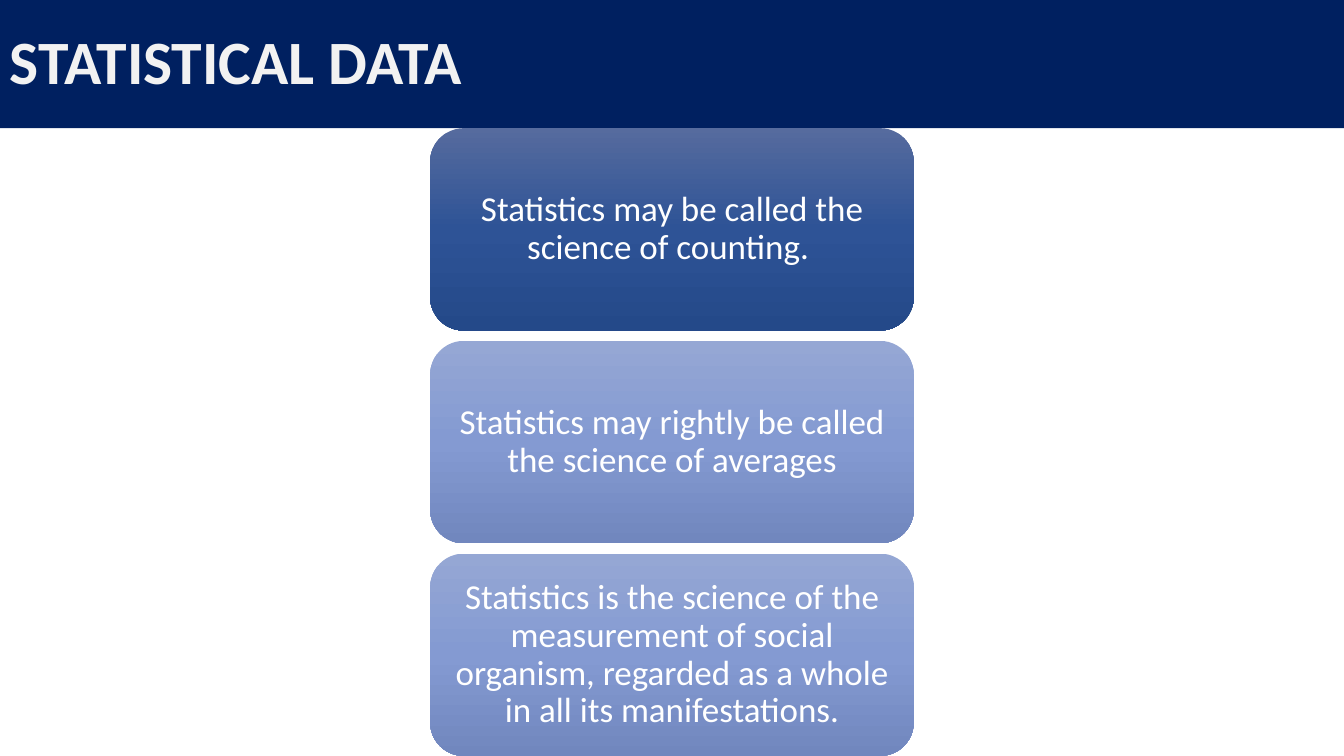
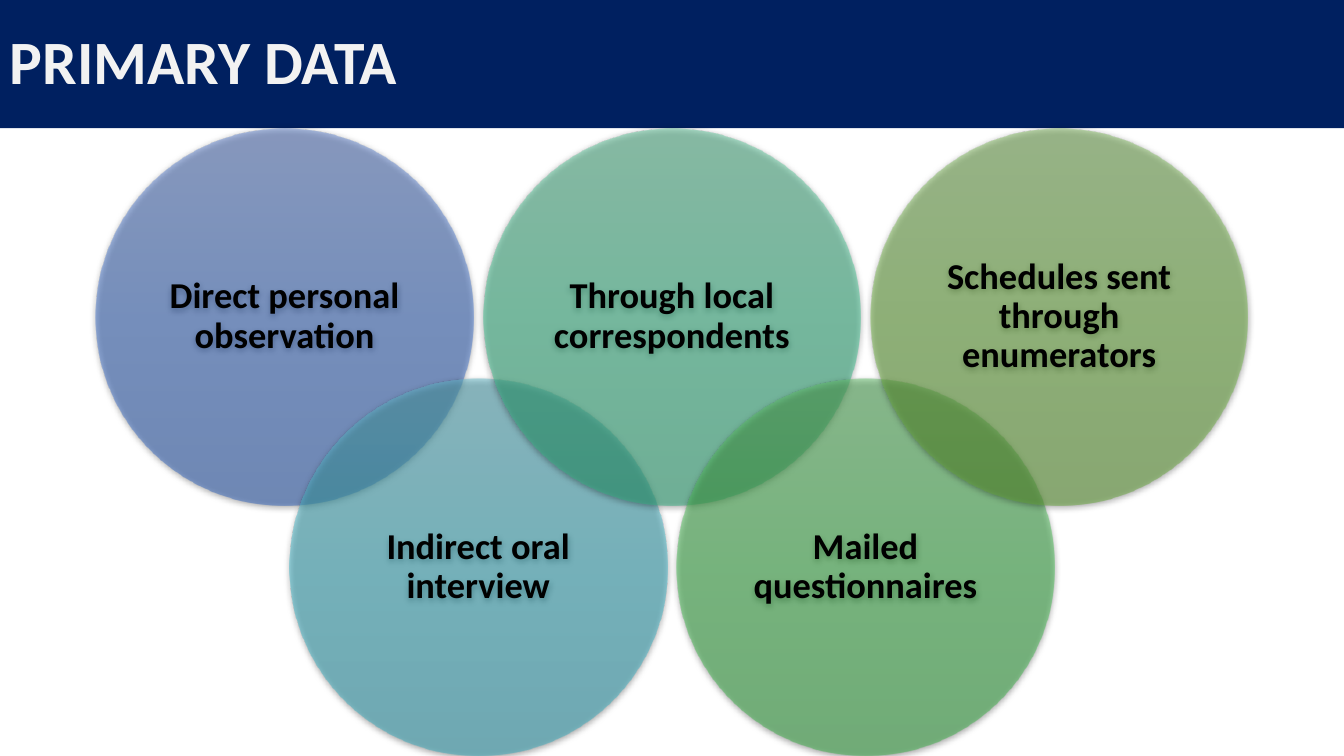
from lxml.etree import SubElement
from pptx import Presentation
from pptx.dml.color import RGBColor
from pptx.enum.shapes import MSO_SHAPE
from pptx.enum.text import MSO_ANCHOR, PP_ALIGN
from pptx.oxml.ns import qn
from pptx.util import Cm, Pt

NAVY = RGBColor(0x00, 0x20, 0x60)
OFF_WHITE = RGBColor(0xF2, 0xF2, 0xF2)
WHITE = RGBColor(0xFF, 0xFF, 0xFF)
BLACK = RGBColor(0x00, 0x00, 0x00)
DARK_BLUE = (RGBColor(0x56, 0x6B, 0x9E), RGBColor(0x2E, 0x53, 0x96), RGBColor(0x24, 0x49, 0x89))
PALE_BLUE = (RGBColor(0x95, 0xA7, 0xD4), RGBColor(0x84, 0x9A, 0xD2), RGBColor(0x71, 0x87, 0xBE))
BLUE = (RGBColor(0x61, 0x83, 0xCB), RGBColor(0x3E, 0x70, 0xCA), RGBColor(0x30, 0x62, 0xBB))
TEAL = (RGBColor(0x61, 0xB8, 0xC7), RGBColor(0x3D, 0xB4, 0xC6), RGBColor(0x30, 0xA5, 0xB7))
MINT = (RGBColor(0x60, 0xC3, 0x9A), RGBColor(0x3D, 0xC1, 0x8F), RGBColor(0x31, 0xB0, 0x80))
GREEN = (RGBColor(0x60, 0xBE, 0x68), RGBColor(0x40, 0xB9, 0x4D), RGBColor(0x34, 0xAA, 0x41))
OLIVE = (RGBColor(0x81, 0xB8, 0x61), RGBColor(0x6F, 0xB2, 0x42), RGBColor(0x62, 0xA3, 0x36))

SLIDE_WIDTH, SLIDE_HEIGHT = 33.87, 19.05
BAND_HEIGHT = 3.23
CARD_WIDTH, CARD_HEIGHT = 12.19, 5.1
CIRCLE_SIZE, CIRCLE_STEP = 9.51, 4.88

DEFINITIONS = [
    ("Statistics may be called the science of counting. ", DARK_BLUE),
    ("Statistics may rightly be called the science of averages", PALE_BLUE),
    ("Statistics is the science of the measurement of social organism, "
     "regarded as a whole in all its manifestations.", PALE_BLUE),
]
METHODS = [
    ("Direct personal observation", BLUE),
    ("Indirect oral interview", TEAL),
    ("Through local correspondents", MINT),
    ("Mailed questionnaires", GREEN),
    ("Schedules sent through enumerators", OLIVE),
]


class Deck:
    font_name = "Calibri"

    def __init__(self):
        self.presentation = Presentation()
        self.presentation.slide_width = Cm(SLIDE_WIDTH)
        self.presentation.slide_height = Cm(SLIDE_HEIGHT)
        self.slide = None

    def add_slide(self, title):
        self.slide = self.presentation.slides.add_slide(self.presentation.slide_layouts[6])
        band = self.add_shape(MSO_SHAPE.RECTANGLE, 0, 0, SLIDE_WIDTH, BAND_HEIGHT)
        band.fill.solid()
        band.fill.fore_color.rgb = NAVY
        self.set_text(band, title, 44, OFF_WHITE, bold=True, alignment=PP_ALIGN.LEFT)

    def add_shape(self, kind, left, top, width, height):
        shape = self.slide.shapes.add_shape(kind, Cm(left), Cm(top), Cm(width), Cm(height))
        shape.line.fill.background()
        shape.shadow.inherit = False
        return shape

    def add_card(self, text, colors, left, top):
        card = self.add_shape(MSO_SHAPE.ROUNDED_RECTANGLE, left, top, CARD_WIDTH, CARD_HEIGHT)
        self.fill_gradient(card, colors)
        self.set_text(card, text, 25, WHITE)

    def add_circle(self, text, colors, left, top):
        circle = self.add_shape(MSO_SHAPE.OVAL, left, top, CIRCLE_SIZE, CIRCLE_SIZE)
        self.fill_gradient(circle, colors, opacity=50)
        self.cast_shadow(circle)
        self.set_text(circle, text, 26, BLACK, bold=True, vertical_inset=0.28)

    def fill_gradient(self, shape, colors, opacity=100):
        shape.fill.gradient()
        shape.fill.gradient_angle = 270
        stops = shape.element.spPr.find(".//" + qn("a:gsLst"))
        for stop in list(stops):
            stops.remove(stop)
        for position, color in zip((0, 50, 100), colors):
            stop = SubElement(stops, qn("a:gs"), pos=str(position * 1000))
            self.add_color(stop, color, opacity)

    def cast_shadow(self, shape):
        effects = shape.element.spPr.find(qn("a:effectLst"))
        shadow = SubElement(effects, qn("a:outerShdw"), blurRad=str(Pt(4.5)),
                            dist=str(Pt(1.5)), dir="5400000", algn="ctr", rotWithShape="0")
        self.add_color(shadow, BLACK, 63)

    def add_color(self, parent, color, opacity):
        element = SubElement(parent, qn("a:srgbClr"), val=str(color))
        if opacity < 100:
            SubElement(element, qn("a:alpha"), val=str(opacity * 1000))

    def set_text(self, shape, text, size, color, bold=False,
                 alignment=PP_ALIGN.CENTER, vertical_inset=0.13):
        frame = shape.text_frame
        frame.word_wrap = True
        frame.vertical_anchor = MSO_ANCHOR.MIDDLE
        frame.margin_left = frame.margin_right = Cm(max(0.25, vertical_inset))
        frame.margin_top = frame.margin_bottom = Cm(vertical_inset)
        paragraph = frame.paragraphs[0]
        paragraph.text = text
        paragraph.alignment = alignment
        paragraph.line_spacing = 0.9
        font = paragraph.font
        font.name = self.font_name
        font.size = Pt(size)
        font.bold = bold
        font.color.rgb = color


def main():
    deck = Deck()

    deck.add_slide("STATISTICAL DATA")
    card_left = (SLIDE_WIDTH - CARD_WIDTH) / 2
    card_step = (SLIDE_HEIGHT - BAND_HEIGHT - CARD_HEIGHT) / (len(DEFINITIONS) - 1)
    for index, (text, colors) in enumerate(DEFINITIONS):
        deck.add_card(text, colors, card_left, BAND_HEIGHT + index * card_step)

    deck.add_slide("PRIMARY DATA")
    row_tops = (BAND_HEIGHT, SLIDE_HEIGHT - CIRCLE_SIZE)
    first_left = (SLIDE_WIDTH - CIRCLE_SIZE - CIRCLE_STEP * (len(METHODS) - 1)) / 2
    for index, (text, colors) in enumerate(METHODS):
        deck.add_circle(text, colors, first_left + index * CIRCLE_STEP, row_tops[index % 2])

    deck.presentation.save("out.pptx")


if __name__ == "__main__":
    main()
